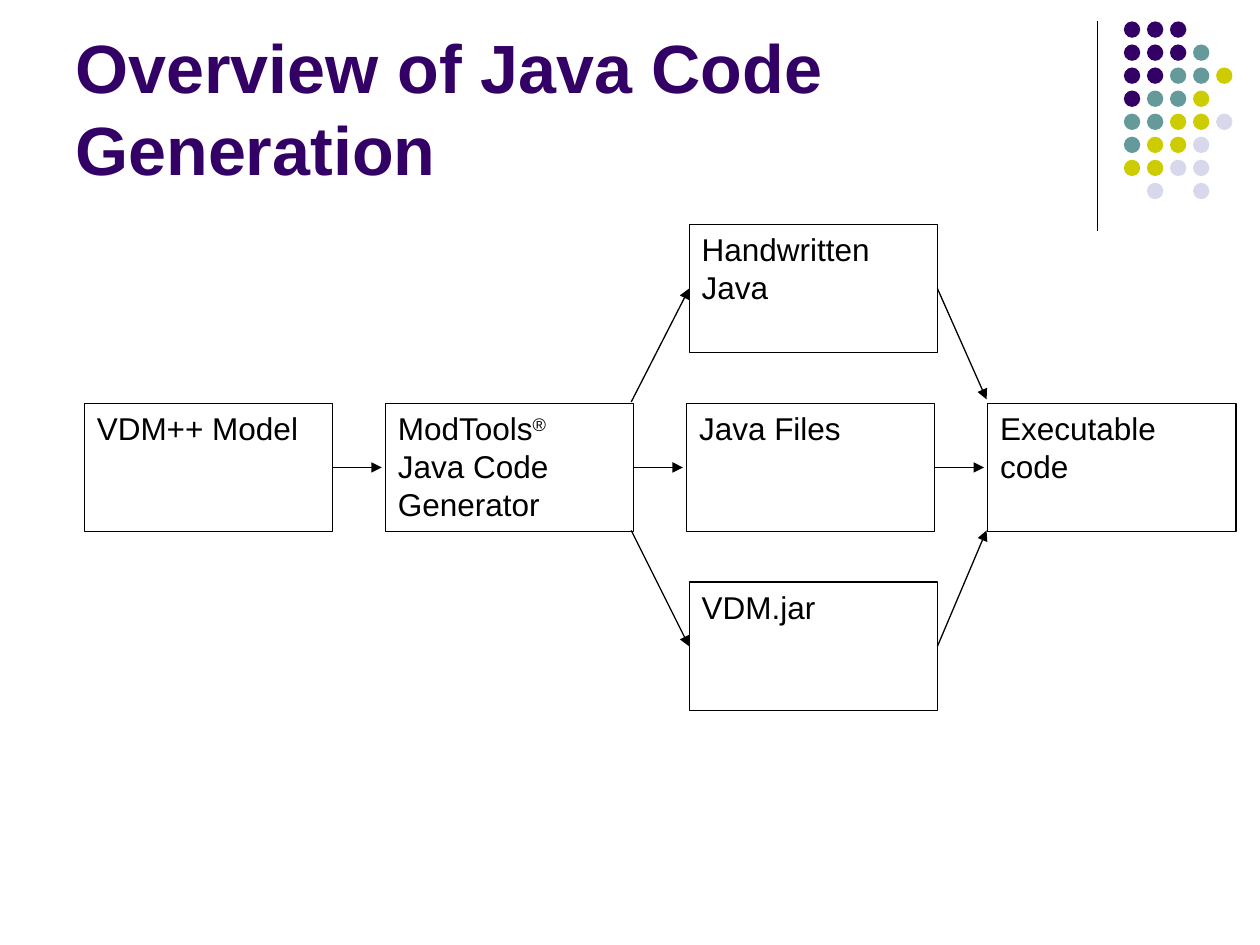
from pptx import Presentation
from pptx.dml.color import RGBColor
from pptx.enum.shapes import MSO_CONNECTOR, MSO_SHAPE
from pptx.enum.text import MSO_ANCHOR, PP_ALIGN
from pptx.oxml.ns import qn
from pptx.util import Inches, Pt
from lxml import etree

STRAIGHT = MSO_CONNECTOR.STRAIGHT
OVAL, RECTANGLE = MSO_SHAPE.OVAL, MSO_SHAPE.RECTANGLE
TOP, BOTTOM = MSO_ANCHOR.TOP, MSO_ANCHOR.BOTTOM
LEFT = PP_ALIGN.LEFT
LEFT_SIDE, RIGHT_SIDE = 1, 3

BLACK = RGBColor(0x00, 0x00, 0x00)
PURPLE = RGBColor(0x33, 0x00, 0x66)
TEAL = RGBColor(0x66, 0x99, 0x99)
OLIVE = RGBColor(0xCC, 0xCC, 0x00)
LAVENDER = RGBColor(0xD8, 0xD8, 0xEC)

deck = Presentation()
deck.slide_width, deck.slide_height = Inches(10), Inches(7.5)
page = deck.slides.add_slide(deck.slide_layouts[6])


def add_line(start, end, arrow=True):
    line = page.shapes.add_connector(
        STRAIGHT, *(Inches(value) for value in (*start, *end)))
    line.line.color.rgb = BLACK
    line.line.width = Pt(0.75)
    if arrow:
        etree.SubElement(line.line._get_or_add_ln(), qn("a:tailEnd"), type="triangle")
    etree.SubElement(line._element.spPr, qn("a:effectLst"))
    return line


def style_text(frame, size, color, bold, anchor):
    frame.word_wrap = True
    frame.vertical_anchor = anchor
    para = frame.paragraphs[0]
    para.alignment = LEFT
    for span in para.runs:
        span.font.name = "Arial"
        span.font.size = Pt(size)
        span.font.bold = bold
        span.font.color.rgb = color


# Corner decoration: a rule and a grid of dots
add_line((8.71, 0.17), (8.71, 1.83), arrow=False)
DOT_COLORS = {"P": PURPLE, "T": TEAL, "O": OLIVE, "L": LAVENDER}
DOT_ROWS = ["PPP", "PPPT", "PPTTO", "PTTO", "TTOOL", "TOOL", "OOLL", " L L"]
DOT_PITCH = 0.183
dots = page.shapes.add_group_shape()
for row, letters in enumerate(DOT_ROWS):
    for column, letter in enumerate(letters):
        if letter == " ":
            continue
        dot = dots.shapes.add_shape(
            OVAL, Inches(8.92 + column * DOT_PITCH), Inches(0.17 + row * DOT_PITCH),
            Inches(0.13), Inches(0.13))
        dot.shadow.inherit = False
        dot.fill.solid()
        dot.fill.fore_color.rgb = DOT_COLORS[letter]
        dot.line.fill.background()

# Title
title = page.shapes.add_textbox(Inches(0.5), Inches(0.13), Inches(8.25), Inches(1.42))
title.text_frame.text = "Overview of Java Code Generation"
style_text(title.text_frame, 39, PURPLE, True, BOTTOM)

# Process boxes
BOXES = {
    "generator": (3.06, 3.2, ["ModTools", "®", " Java Code Generator"]),
    "model": (0.67, 3.2, ["VDM++ Model"]),
    "handwritten": (5.47, 1.78, ["Handwritten Java"]),
    "files": (5.45, 3.2, ["Java Files"]),
    "library": (5.47, 4.62, ["VDM.jar"]),
    "executable": (7.84, 3.2, ["Executable code"]),
}
boxes = {}
for name, (left, top, texts) in BOXES.items():
    box = page.shapes.add_shape(
        RECTANGLE, Inches(left), Inches(top), Inches(1.97), Inches(1.02))
    box.shadow.inherit = False
    box.fill.background()
    box.line.color.rgb = BLACK
    box.line.width = Pt(0.75)
    para = box.text_frame.paragraphs[0]
    for text in texts:
        span = para.add_run()
        span.text = text
        if text == "®":
            span.font._element.set("baseline", "30000")
    style_text(box.text_frame, 18, BLACK, False, TOP)
    boxes[name] = box

# Arrows along the middle row stop just short of the next box
for name, left in [("model", 2.64), ("generator", 5.03), ("files", 7.42)]:
    arrow = add_line((left, 3.71), (left + 0.39, 3.71))
    arrow.begin_connect(boxes[name], RIGHT_SIDE)

# Arrows from the generator's corners out to the upper and lower boxes
for name, start, end in [("handwritten", (5.01, 3.19), (5.47, 2.29)),
                         ("library", (5.01, 4.21), (5.47, 5.13))]:
    arrow = add_line(start, end)
    arrow.end_connect(boxes[name], LEFT_SIDE)

# Arrows from the upper and lower boxes to the executable's corners
for name, start, end in [("library", (7.44, 5.13), (7.83, 4.21)),
                         ("handwritten", (7.44, 2.29), (7.83, 3.17))]:
    arrow = add_line(start, end)
    arrow.begin_connect(boxes[name], RIGHT_SIDE)

deck.save("out.pptx")
